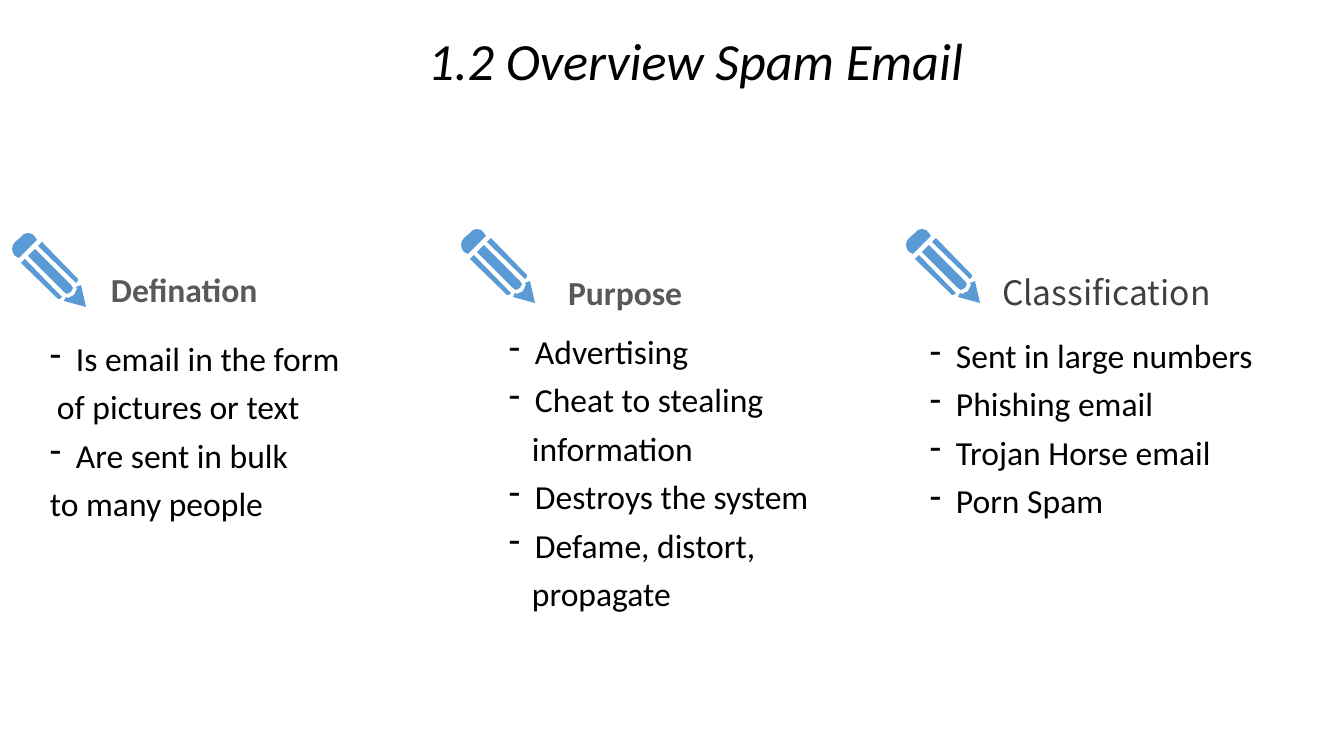
from lxml import etree
from pptx import Presentation
from pptx.dml.color import RGBColor
from pptx.enum import text
from pptx.oxml import ns
from pptx.util import Pt

PX = 914400 / 134.4
BLUE, BLACK, GREY, DARK = "5B9BD5", "000000", "595959", "404040"
INSET, FLUSH = (13, 7, 13, 7), (0, 0, 42, 0)
HANG = 26

TITLE = ("1.2 Overview Spam Email", (348, 28, 636, 71))
BOLD = dict(name="Calibri", size=Pt(18), bold=True)
PLAIN = dict(name="Noto Sans CJK SC", size=Pt(18))
BODY = dict(name="Calibri", size=Pt(18))

# Each body line is (wording, left indent); an indent of None marks a dash item.
COLUMNS = [
    dict(pencil=(12, 233), heading="Defination", heading_box=(111, 230, 280, 79),
         heading_font=BOLD, color=GREY, insets=FLUSH, anchor=text.MSO_ANCHOR.BOTTOM,
         body_box=(37, 323, 672, 210),
         lines=[("Is email in the form", None), ("of pictures or text", 7),
                ("Are sent in bulk", None), ("to many people", 0)]),
    dict(pencil=(461, 229), heading="Purpose", heading_box=(555, 265, 159, 54),
         heading_font=BOLD, color=GREY, insets=INSET, anchor=text.MSO_ANCHOR.TOP,
         body_box=(496, 316, 672, 394),
         lines=[("Advertising", None), ("Cheat to stealing", None), ("information", 23),
                ("Destroys the system", None), ("Defame, distort,", None), ("propagate", 23)]),
    dict(pencil=(906, 229), heading="Classification", heading_box=(989, 265, 239, 54),
         heading_font=PLAIN, color=DARK, insets=INSET, anchor=text.MSO_ANCHOR.TOP,
         body_box=(917, 320, 672, 210),
         lines=[("Sent in large numbers", None), ("Phishing email", None),
                ("Trojan Horse email", None), ("Porn Spam", None)]),
]

STRIPE = [(62, 48), (64, 50), (66, 48), (66, 46), (30, 9), (26, 13)]
PENCIL = [
    [(23, 4), (25, 7), (7, 25), (3, 23), (1, 20), (0, 16), (1, 12), (3, 9),
     (9, 4), (12, 1), (16, 0), (20, 1)],
    STRIPE,
    [(y, x) for x, y in reversed(STRIPE)],
    [(16, 23), (52, 59), (55, 61), (59, 59), (61, 55), (59, 52), (23, 16)],
    [(69, 52), (64, 54), (65, 56), (62, 62), (56, 65), (54, 64), (52, 68), (74, 74)],
]


def px(length):
    """Turn px into EMU."""
    return round(length * PX)


def rgb(value):
    """Turn a hex string into a colour."""
    return RGBColor.from_string(value)


def add_text(slide, box, lines, font, color, spacing=1.0, insets=INSET,
             anchor=text.MSO_ANCHOR.TOP):
    """Add a text box holding one paragraph for each line."""
    frame = slide.shapes.add_textbox(*map(px, box)).text_frame
    sides = ("margin_left", "margin_top", "margin_right", "margin_bottom")
    layout = dict(zip(sides, map(px, insets)), word_wrap=True, vertical_anchor=anchor)
    for key, value in layout.items():
        setattr(frame, key, value)
    for index, (wording, indent) in enumerate(lines):
        paragraph = frame.paragraphs[0] if index == 0 else frame.add_paragraph()
        paragraph.line_spacing = spacing
        run = paragraph.add_run()
        run.text = wording
        for key, value in font.items():
            setattr(run.font, key, value)
        run.font.color.rgb = rgb(color)
        if font["name"] != "Calibri":
            east = etree.SubElement(run.font._element, ns.qn("a:ea"))
            east.set("typeface", font["name"])
        properties = paragraph._p.get_or_add_pPr()
        properties.set("marL", str(px(HANG if indent is None else indent)))
        properties.set("indent", str(px(-HANG if indent is None else 0)))
        if indent is None:
            etree.SubElement(properties, ns.qn("a:buFontTx"))
            etree.SubElement(properties, ns.qn("a:buChar")).set("char", "-")


def add_pencil(slide, left, top):
    """Draw the pencil icon as one outline with several contours."""
    builder = slide.shapes.build_freeform(*PENCIL[0][0], scale=PX)
    for index, contour in enumerate(PENCIL):
        if index:
            builder.move_to(*contour[0])
        builder.add_line_segments(contour[1:], close=True)
    pencil = builder.convert_to_shape(px(left), px(top))
    pencil.shadow.inherit = False
    pencil.fill.solid()
    pencil.fill.fore_color.rgb = rgb(BLUE)
    pencil.line.fill.background()


def main():
    """Build the slide and save it."""
    deck = Presentation()
    deck.slide_width, deck.slide_height = px(1344), px(756)
    slide = deck.slides.add_slide(deck.slide_layouts[6])
    title, title_box = TITLE
    add_text(slide, title_box, [(title, 67)],
             dict(name="Calibri", size=Pt(28), italic=True), BLACK, spacing=0.9)
    for column in COLUMNS:
        add_pencil(slide, *column["pencil"])
        add_text(slide, column["heading_box"], [(column["heading"], 0)],
                 column["heading_font"], column["color"],
                 insets=column["insets"], anchor=column["anchor"])
        add_text(slide, column["body_box"], column["lines"], BODY, BLACK, spacing=1.2)
    deck.save("out.pptx")


if __name__ == "__main__":
    main()
